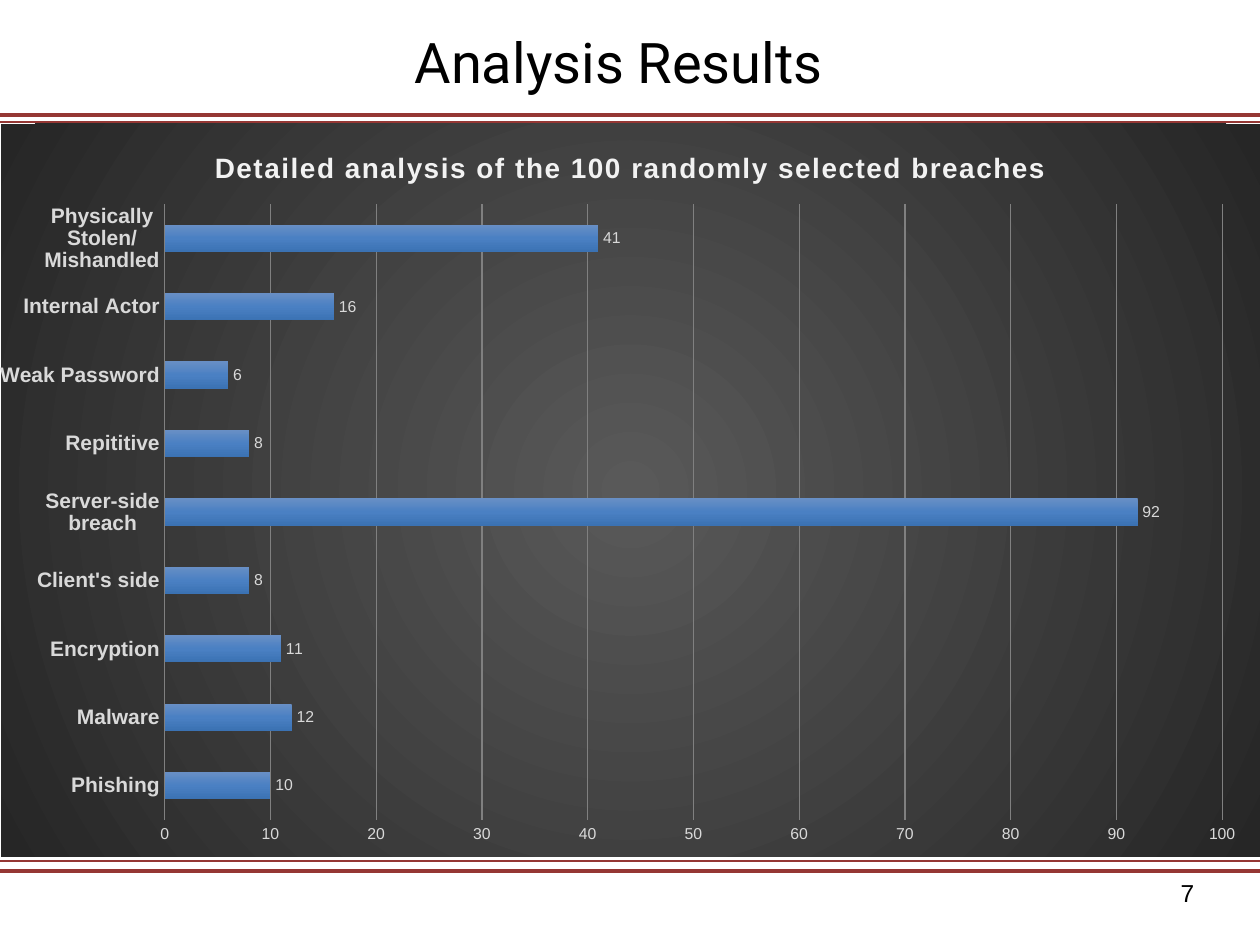
from lxml.etree import SubElement
from pptx import Presentation
from pptx.chart.data import CategoryChartData
from pptx.dml.color import RGBColor
from pptx.enum.chart import XL_CHART_TYPE, XL_LABEL_POSITION, XL_TICK_MARK
from pptx.enum.shapes import MSO_CONNECTOR
from pptx.enum.text import MSO_ANCHOR, PP_ALIGN
from pptx.oxml import parse_xml
from pptx.oxml.ns import nsdecls, qn
from pptx.util import Cm, Pt

COLORS = {
    "rule": "953734", "text": "000000", "label": "D9D9D9", "heading": "F2F2F2",
    "grid": "808080", "glow": "595959", "edge": "262626",
    "bar_top": "688FC5", "bar_mid": "4A80C3", "bar_low": "3B72B3",
}
BREACHES = {
    "Phishing": 10, "Malware": 12, "Encryption": 11, "Client's side": 8,
    "Server-side breach": 92, "Repititive": 8, "Weak Password": 6,
    "Internal Actor": 16, "Physically Stolen/Mishandled": 41,
}
RADIAL = '<a:path path="circle"><a:fillToRect l="50000" t="50000" r="50000" b="50000"/></a:path>'
LINEAR = '<a:lin ang="5400000" scaled="0"/>'
PLOT_LAYOUT = {"x": 0.13, "y": 0.11, "w": 0.84, "h": 0.84}


def rgb(name):
    """Return the named colour."""
    return RGBColor.from_string(COLORS[name])


def gradient_props(tag, names, direction):
    """Return shape properties with evenly spaced gradient stops and no line."""
    step = 100000 // (len(names) - 1)
    stops = "".join(
        f'<a:gs pos="{i * step}"><a:srgbClr val="{COLORS[name]}"/></a:gs>'
        for i, name in enumerate(names)
    )
    return parse_xml(
        f'<{tag} {nsdecls("c", "a")}><a:gradFill rotWithShape="1"><a:gsLst>{stops}</a:gsLst>'
        f"{direction}</a:gradFill><a:ln><a:noFill/></a:ln></{tag}>"
    )


class SlideBuilder:
    """Hold the style and the current slide."""

    def __init__(self, slide, font="Arial", title_font="Roboto"):
        self.slide = slide
        self.font = font
        self.title_font = title_font

    def style(self, font, size, color, bold=False, name=None):
        """Format a font."""
        font.name = name or self.font
        font.size = Pt(size)
        font.bold = bold
        font.color.rgb = rgb(color)

    def title(self, text, left, top, width, height):
        """Fill and place the title placeholder."""
        sp = self.slide.shapes.title
        sp.left, sp.top, sp.width, sp.height = map(Cm, (left, top, width, height))
        tf = sp.text_frame
        tf.text = text
        tf.vertical_anchor = MSO_ANCHOR.MIDDLE
        p = tf.paragraphs[0]
        p.alignment = PP_ALIGN.CENTER
        self.style(p.runs[0].font, 32, "text", name=self.title_font)

    def text(self, text, left, top, width, height, size):
        """Add a text box centred vertically."""
        sp = self.slide.shapes.add_textbox(*map(Cm, (left, top, width, height)))
        tf = sp.text_frame
        tf.word_wrap = True
        tf.vertical_anchor = MSO_ANCHOR.MIDDLE
        tf.text = text
        self.style(tf.paragraphs[0].runs[0].font, size, "text")

    def rule(self, y, weight, width=25.4):
        """Add a horizontal rule across the slide."""
        line = self.slide.shapes.add_connector(
            MSO_CONNECTOR.STRAIGHT, 0, Cm(y), Cm(width), Cm(y))
        line.line.color.rgb = rgb("rule")
        line.line.width = Pt(weight)
        SubElement(line._element.spPr, qn("a:effectLst"))

    def bar_chart(self, heading, values, left, top, width, height):
        """Add a horizontal bar chart on a dark radial background."""
        data = CategoryChartData()
        data.categories = list(values)
        data.add_series("Series 1", list(values.values()))
        chart = self.slide.shapes.add_chart(
            XL_CHART_TYPE.BAR_CLUSTERED, *map(Cm, (left, top, width, height)), data).chart
        self.style(chart.font, 10, "text")
        chart.has_legend = False
        chart.has_title = True
        tf = chart.chart_title.text_frame
        tf.text = heading
        r = tf.paragraphs[0].runs[0]
        self.style(r.font, 16, "heading", bold=True)
        r.font._element.set("spc", "100")
        chart.chart_title.include_in_layout = False

        for axis, size, bold in ((chart.category_axis, 12, True), (chart.value_axis, 9, False)):
            axis.major_tick_mark = axis.minor_tick_mark = XL_TICK_MARK.NONE
            axis.format.line.fill.background()
            self.style(axis.tick_labels.font, size, "label", bold)
        axis = chart.value_axis
        axis.minimum_scale, axis.maximum_scale, axis.major_unit = 0, 100, 10
        axis.has_major_gridlines = True
        axis.major_gridlines.format.line.color.rgb = rgb("grid")
        axis.major_gridlines.format.line.width = Pt(0.75)

        plot = chart.plots[0]
        plot.gap_width = 150
        plot.vary_by_categories = False
        plot.has_data_labels = True
        labels = plot.data_labels
        labels.show_value = True
        labels.position = XL_LABEL_POSITION.OUTSIDE_END
        self.style(labels.font, 9, "label")
        bar_props = plot.series[0]._element.get_or_add_spPr()
        bar_props.getparent().replace(
            bar_props, gradient_props("c:spPr", ("bar_top", "bar_mid", "bar_low"), LINEAR))
        root = chart._chartSpace
        root.find(qn("c:chart")).addnext(gradient_props("c:spPr", ("glow", "edge"), RADIAL))
        self.plot_layout(root.find(".//" + qn("c:plotArea")))

    def plot_layout(self, area):
        """Fix the inner plot area as fractions of the chart."""
        for old in area.findall(qn("c:layout")):
            area.remove(old)
        modes = "".join(f'<c:{k}Mode val="edge"/>' for k in "xy")
        sizes = "".join(f'<c:{k} val="{v}"/>' for k, v in PLOT_LAYOUT.items())
        area.insert(0, parse_xml(
            f'<c:layout {nsdecls("c")}><c:manualLayout><c:layoutTarget val="inner"/>'
            f"{modes}{sizes}</c:manualLayout></c:layout>"))


def main():
    """Build the analysis results slide."""
    prs = Presentation()
    prs.slide_width, prs.slide_height = Cm(25.4), Cm(19.05)
    s = SlideBuilder(prs.slides.add_slide(prs.slide_layouts[5]))
    for y, weight in ((17.35, 1), (2.31, 2.25), (2.46, 1), (17.55, 2.25)):
        s.rule(y, weight)
    s.text("7", 23.55, 17.27, 1.52, 1.45, 14)
    s.bar_chart("Detailed analysis of the 100 randomly selected breaches",
                BREACHES, 0, 2.49, 25.4, 14.78)
    s.title("Analysis Results", 0.64, 0.18, 23.67, 2.11)
    prs.save("out.pptx")


if __name__ == "__main__":
    main()
